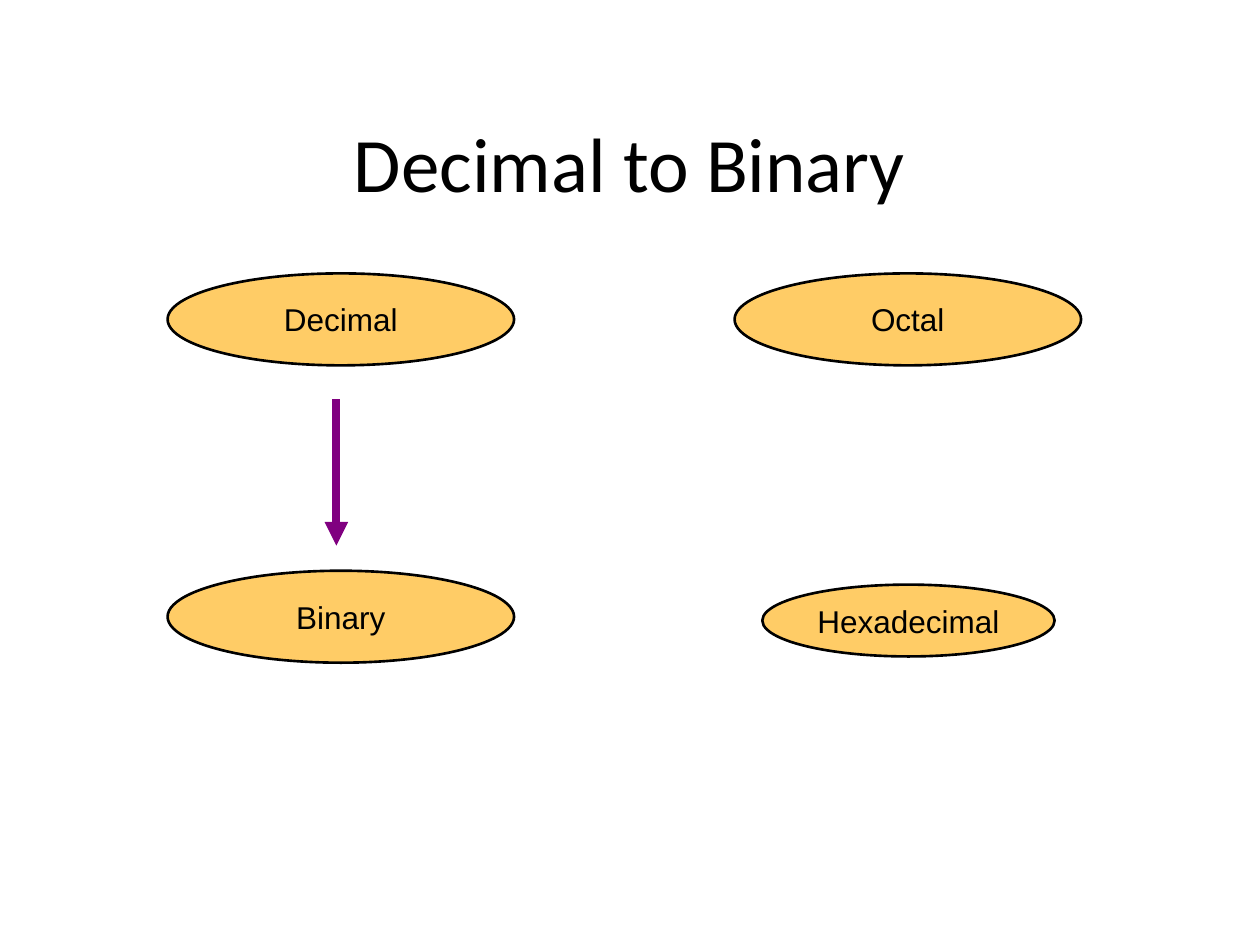
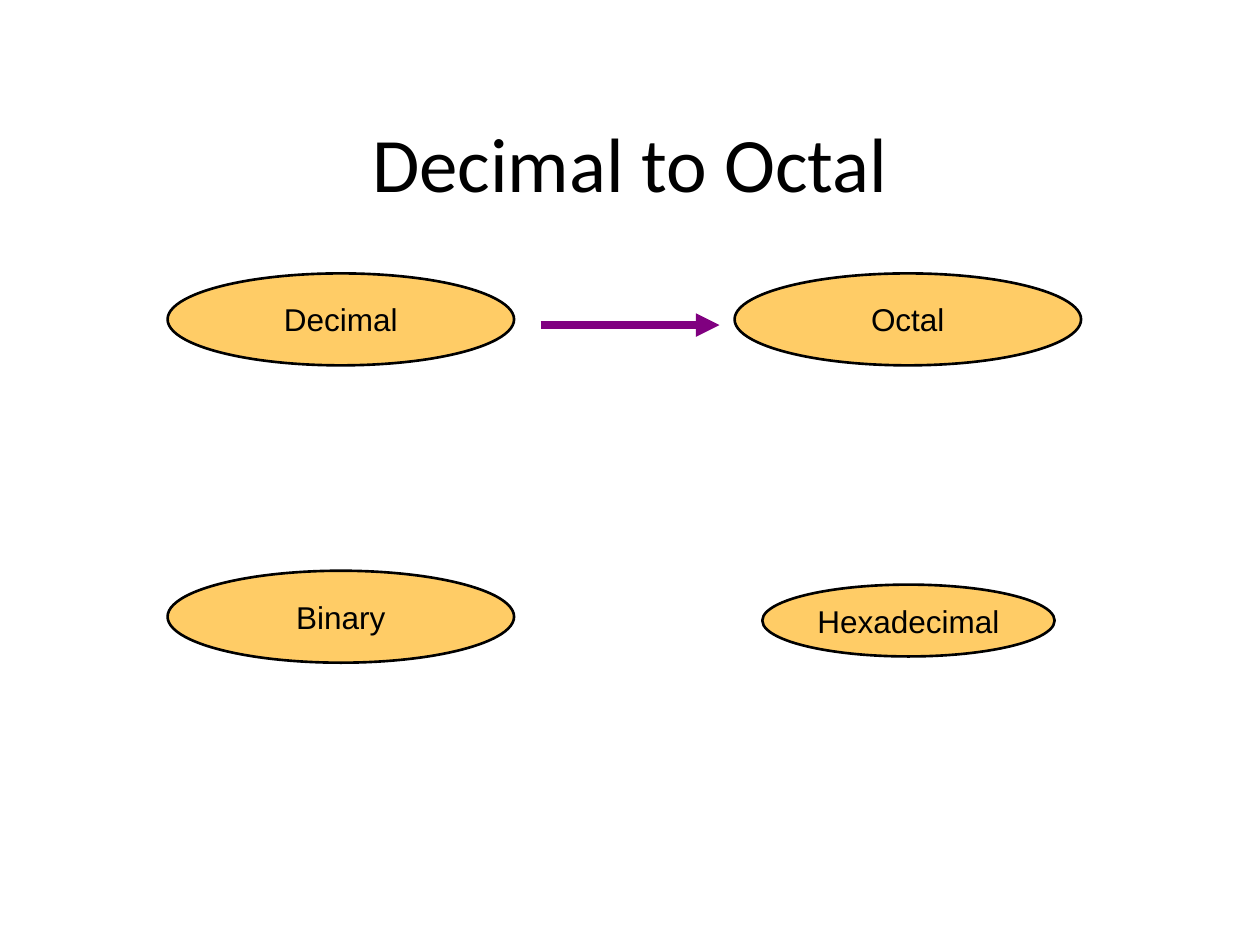
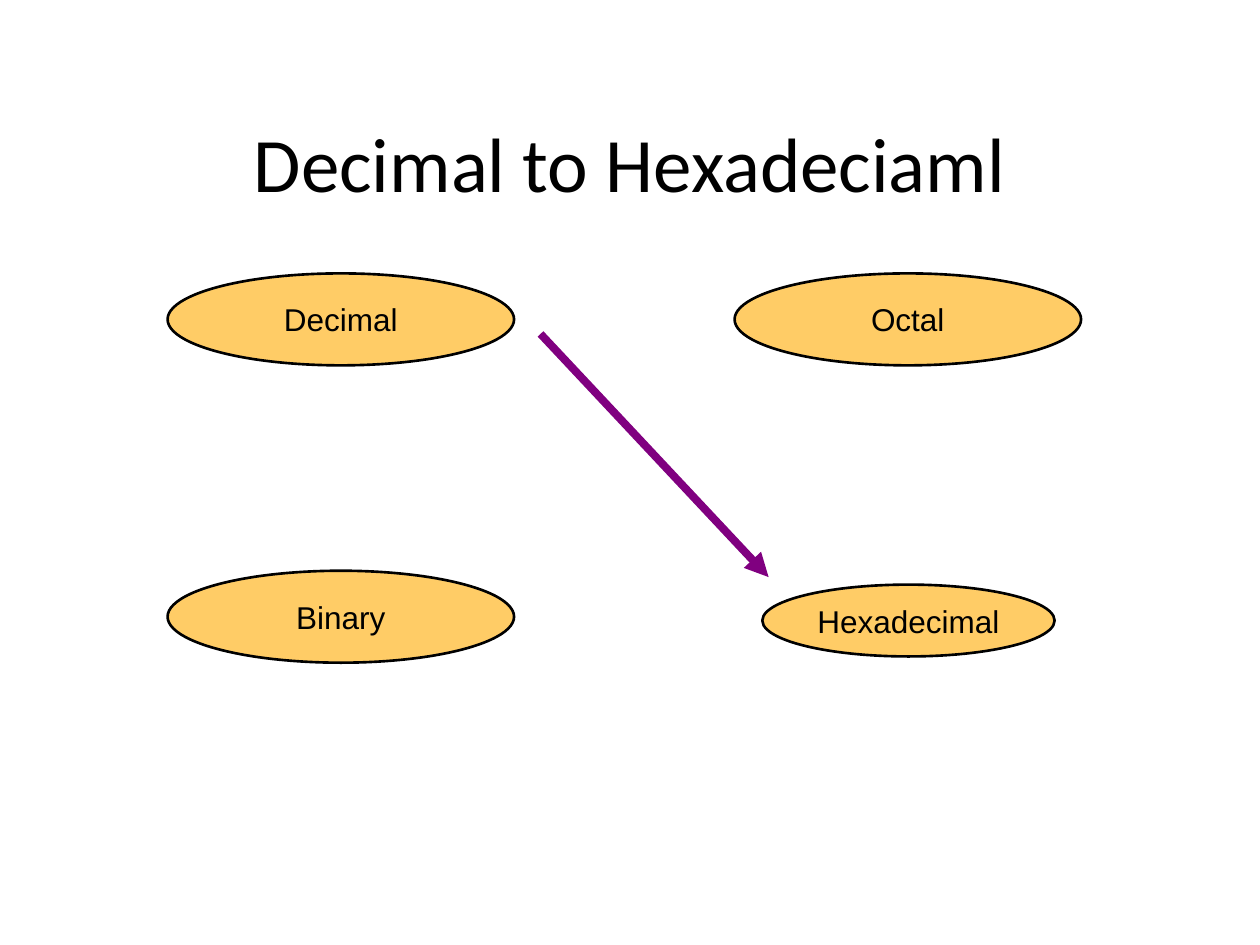
from collections import namedtuple

from lxml import etree
from pptx import Presentation
from pptx import util as u
from pptx.dml.color import RGBColor
from pptx.enum import shapes, text
from pptx.oxml.ns import qn

Box = namedtuple("Box", "left top width height")

COLOURS = {"ink": "000000", "bubble": "FFCC66", "arrow": "800080"}
TITLE_BOX = Box(0.5, 0.66, 9, 1.25)
DIAGRAM_BOX = Box(1.33, 2.17, 7.25, 3.09)
BUBBLE_SIZE = (2.75, 0.73)
HEXADECIMAL_SIZE = (2.32, 0.57)
CONVERSIONS = [
    ("Decimal to Binary", (1.34, 1), (1.34, 2.16)),
    ("Decimal to Octal", (2.96, 0.41), (4.38, 0.41)),
    ("Decimal to Hexadeciaml", (2.96, 0.48), (4.77, 2.41)),
]


def colour(name):
    return RGBColor.from_string(COLOURS[name])


def inches(*lengths):
    return [u.Inches(length) for length in lengths]


def write_centred(frame, words, font, size):
    frame.vertical_anchor = text.MSO_ANCHOR.MIDDLE
    para = frame.paragraphs[0]
    para.alignment = text.PP_ALIGN.CENTER
    span = para.add_run()
    span.text = words
    span.font.name = font
    span.font.size = u.Pt(size)
    span.font.color.rgb = colour("ink")


def add_title(page, box, words):
    frame = page.shapes.add_textbox(*inches(*box)).text_frame
    frame.word_wrap = True
    write_centred(frame, words, "Calibri", 44)


def add_bubble(page, box, words):
    bubble = page.shapes.add_shape(shapes.MSO_SHAPE.OVAL, *inches(*box))
    bubble.shadow.inherit = False
    bubble.fill.solid()
    bubble.fill.fore_color.rgb = colour("bubble")
    bubble.line.color.rgb = colour("ink")
    bubble.line.width = u.Pt(1.5)
    bubble.text_frame.word_wrap = False
    write_centred(bubble.text_frame, words, "Arial", 18)


def add_arrow(page, box, start, end):
    points = [edge + offset for point in (start, end)
              for edge, offset in zip((box.left, box.top), point)]
    arrow = page.shapes.add_connector(shapes.MSO_CONNECTOR.STRAIGHT, *inches(*points))
    arrow.line.color.rgb = colour("arrow")
    arrow.line.width = u.Pt(4.5)
    etree.SubElement(arrow.line._get_or_add_ln(), qn("a:tailEnd"), type="triangle")
    etree.SubElement(arrow._element.spPr, qn("a:effectLst"))


def add_diagram(page, box, start, end):
    right = box.left + box.width - BUBBLE_SIZE[0]
    bottom = box.top + box.height - BUBBLE_SIZE[1]
    for words, left, top, size in [
        ("Hexadecimal", box.left + 4.72, box.top + 2.47, HEXADECIMAL_SIZE),
        ("Decimal", box.left, box.top, BUBBLE_SIZE),
        ("Octal", right, box.top, BUBBLE_SIZE),
        ("Binary", box.left, bottom, BUBBLE_SIZE),
    ]:
        add_bubble(page, Box(left, top, *size), words)
    add_arrow(page, box, start, end)


def main():
    deck = Presentation()
    deck.slide_width, deck.slide_height = inches(10, 7.5)
    for title, start, end in CONVERSIONS:
        page = deck.slides.add_slide(deck.slide_layouts[6])
        add_title(page, TITLE_BOX, title)
        add_diagram(page, DIAGRAM_BOX, start, end)
    deck.save("out.pptx")


if __name__ == "__main__":
    main()
